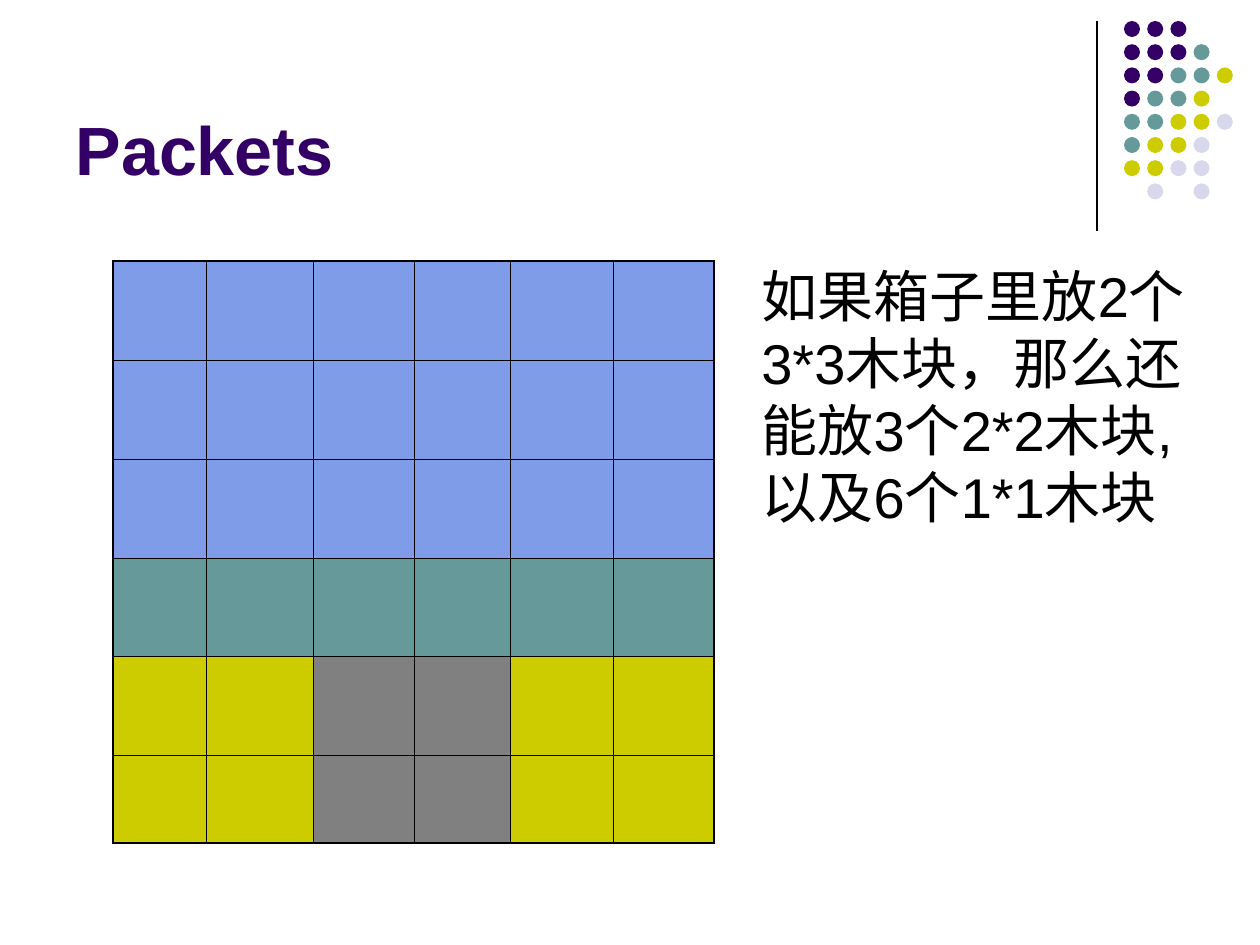
from dataclasses import dataclass

from lxml.etree import SubElement
from pptx import Presentation
from pptx.dml.color import RGBColor
from pptx.enum.shapes import MSO_CONNECTOR, MSO_SHAPE
from pptx.enum.text import MSO_ANCHOR, PP_ALIGN
from pptx.oxml.ns import qn
from pptx.util import Emu, Pt


@dataclass(frozen=True)
class Theme:
    """Colours, font, type sizes and line widths of the slide."""
    purple: str = "330066"
    teal: str = "669999"
    olive: str = "CCCC00"
    lavender: str = "D8D8EC"
    blue: str = "7E9CE8"
    grey: str = "808080"
    black: str = "000000"
    font: str = "Arial"
    title_size: int = 39
    body_size: int = 32
    rule_width: float = 0.75
    grid_inner: float = 0.45
    grid_outer: float = 1.08


def px(length):
    """Turn pixels into EMU."""
    return Emu(round(length * 914400 / 126))


class SlideBuilder:
    """Draws elements on one slide in the style of a theme."""

    def __init__(self, slide, theme):
        """Keep the slide and its theme."""
        self.slide = slide
        self.theme = theme

    def set_text(self, frame, text, size, color, bold=False):
        """Put one left-aligned paragraph in a text frame."""
        frame.word_wrap = True
        frame.text = text
        paragraph = frame.paragraphs[0]
        paragraph.alignment = PP_ALIGN.LEFT
        font = paragraph.font
        font.name = self.theme.font
        font.size = Pt(size)
        font.bold = bold
        font.color.rgb = RGBColor.from_string(color)

    def title(self, text, left, top, width, height):
        """Place and format the title placeholder."""
        shape = self.slide.shapes.title
        shape.left, shape.top = px(left), px(top)
        shape.width, shape.height = px(width), px(height)
        shape.text_frame.vertical_anchor = MSO_ANCHOR.BOTTOM
        self.set_text(shape.text_frame, text, self.theme.title_size, self.theme.purple, bold=True)

    def text(self, text, left, top, width, height):
        """Add a wrapped body text box."""
        shape = self.slide.shapes.add_textbox(px(left), px(top), px(width), px(height))
        self.set_text(shape.text_frame, text, self.theme.body_size, self.theme.black)

    def line(self, left, top, right, bottom):
        """Add a thin straight rule."""
        connector = self.slide.shapes.add_connector(
            MSO_CONNECTOR.STRAIGHT, px(left), px(top), px(right), px(bottom))
        connector.line.color.rgb = RGBColor.from_string(self.theme.black)
        connector.line.width = Pt(self.theme.rule_width)
        SubElement(connector._element.spPr, qn("a:effectLst"))

    def dot(self, left, top, size, color):
        """Add a filled circle."""
        shape = self.slide.shapes.add_shape(
            MSO_SHAPE.OVAL, px(left), px(top), px(size), px(size))
        shape.shadow.inherit = False
        shape.fill.solid()
        shape.fill.fore_color.rgb = RGBColor.from_string(color)
        shape.line.fill.background()

    def dots(self, pattern, colors, left, top, pitch, size):
        """Add a grid of dots, one letter of the pattern for each."""
        for row, letters in enumerate(pattern):
            for column, letter in enumerate(letters):
                if letter in colors:
                    self.dot(left + column * pitch, top + row * pitch, size, colors[letter])

    def border(self, cell, side, width):
        """Draw one side of a cell."""
        line = SubElement(cell._tc.get_or_add_tcPr(), qn(f"a:ln{side}"), w=str(int(Pt(width))))
        fill = SubElement(line, qn("a:solidFill"))
        SubElement(fill, qn("a:srgbClr"), val=self.theme.black)

    def table(self, pattern, colors, left, top, widths, heights):
        """Add a table of coloured cells with a heavier outer frame."""
        table = self.slide.shapes.add_table(
            len(heights), len(widths), px(left), px(top),
            px(sum(widths)), px(sum(heights))).table
        table.first_row = table.horz_banding = False
        for column, width in zip(table.columns, widths):
            column.width = px(width)
        for row, height in zip(table.rows, heights):
            row.height = px(height)
        for row, letters in enumerate(pattern):
            for column, letter in enumerate(letters):
                cell = table.cell(row, column)
                outer_sides = {
                    "L": column == 0,
                    "R": column == len(widths) - 1,
                    "T": row == 0,
                    "B": row == len(heights) - 1,
                }
                for side, outer in outer_sides.items():
                    width = self.theme.grid_outer if outer else self.theme.grid_inner
                    self.border(cell, side, width)
                cell.fill.solid()
                cell.fill.fore_color.rgb = RGBColor.from_string(colors[letter])


def main():
    """Build and save the slide."""
    theme = Theme()
    presentation = Presentation()
    presentation.slide_width, presentation.slide_height = px(1260), px(945)
    slide = presentation.slides.add_slide(presentation.slide_layouts[5])
    builder = SlideBuilder(slide, theme)
    colors = {"P": theme.purple, "T": theme.teal, "O": theme.olive,
              "L": theme.lavender, "B": theme.blue, "G": theme.grey}

    builder.line(1097, 21, 1097, 231)
    dot_pattern = ["PPP", "PPPT", "PPTTO", "PTTO", "TTOOL", "TOOL", "OOLL", " L L"]
    builder.dots(dot_pattern, colors, left=1124, top=21, pitch=23.2, size=16)
    builder.title("Packets", 63, 16, 1040, 179)
    box_pattern = ["BBBBBB"] * 3 + ["TTTTTT"] + ["OOGGOO"] * 2
    builder.table(box_pattern, colors, left=113, top=261,
                  widths=[93, 107, 101, 96, 103, 101], heights=[99] * 5 + [87])
    builder.text("如果箱子里放2个3*3木块，那么还能放3个2*2木块,以及6个1*1木块",
                 749, 255, 456, 349)
    presentation.save("out.pptx")


if __name__ == "__main__":
    main()
